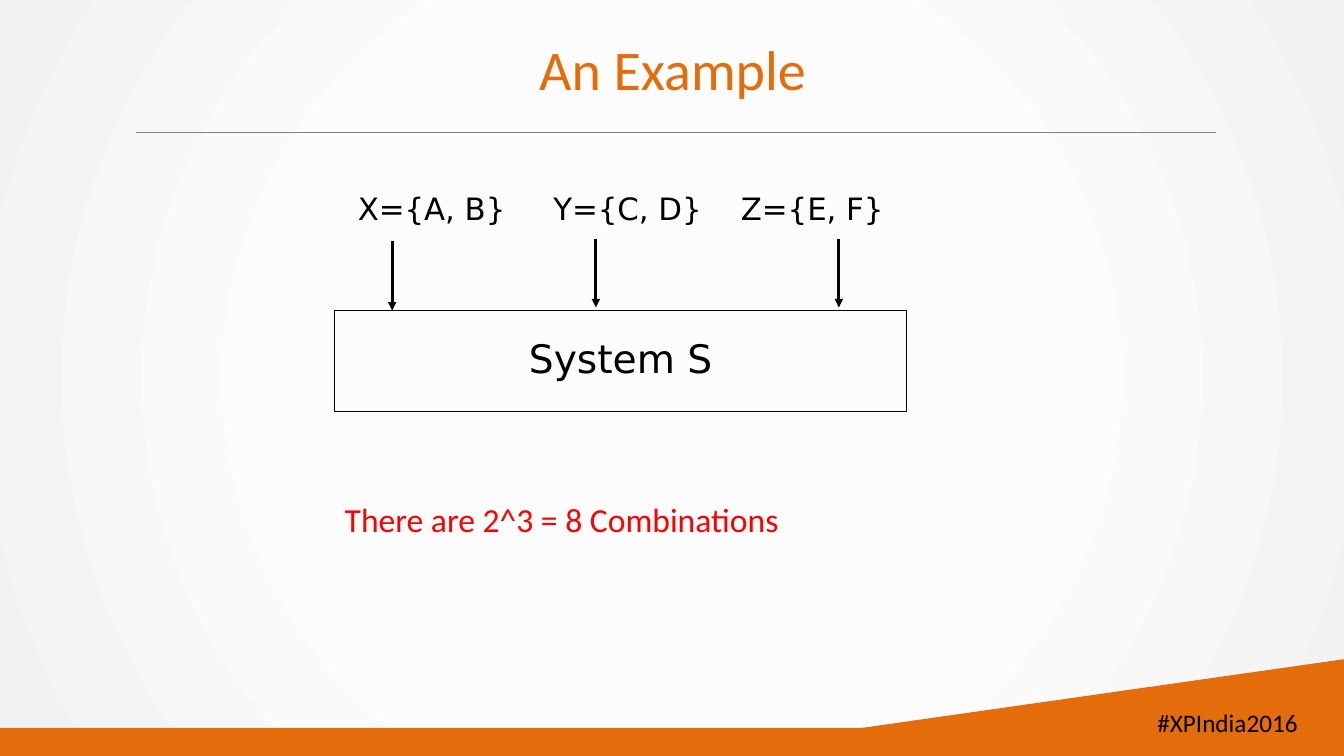
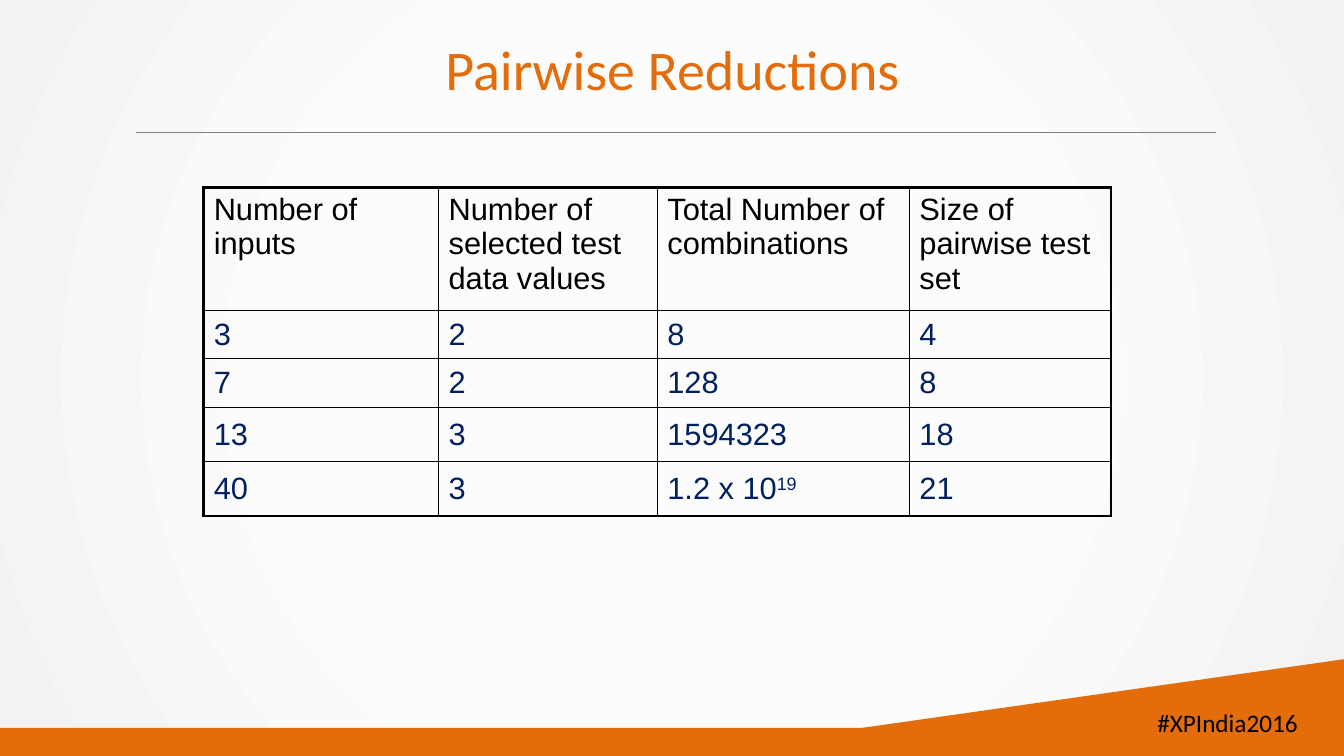
"""Build two slides on pairwise testing: an example system and the reductions table."""
from dataclasses import dataclass

from lxml.etree import SubElement
from pptx import Presentation
from pptx.dml.color import RGBColor
from pptx.enum.shapes import MSO_CONNECTOR as Connector, MSO_SHAPE as Shape
from pptx.enum.text import MSO_ANCHOR as Anchor, PP_ALIGN as Align
from pptx.oxml import parse_xml
from pptx.oxml.ns import nsdecls, qn
from pptx.presentation import Presentation as Deck
from pptx.slide import Slide
from pptx.table import _Cell as Cell
from pptx.text.text import TextFrame
from pptx.util import Inches, Pt

ORANGE = RGBColor(0xE4, 0x6C, 0x0A)
GREY = RGBColor(0x80, 0x80, 0x80)
BLACK = RGBColor(0x00, 0x00, 0x00)
RED = RGBColor(0xFF, 0x00, 0x00)
NAVY = RGBColor(0x00, 0x20, 0x60)
BACKGROUND_STOPS = ((0, "FFFFFF"), (48, "FCFCFC"), (100, "F2F2F2"))

WIDTH, HEIGHT = 13.33, 7.5
THIN, THICK = 1, 2.25


@dataclass(frozen=True)
class Style:
    """Font, size, colour and alignment of a paragraph."""
    font: str
    size: float
    color: RGBColor
    align: Align = Align.LEFT


@dataclass(frozen=True)
class Input:
    """An input of the system, with its label and arrow."""
    label: str
    label_offset: float
    arrow_x: float
    arrow_top: float
    arrow_bottom: float


TITLE = Style("Calibri", 40, ORANGE, Align.CENTER)
HASHTAG = Style("Calibri", 18, BLACK, Align.RIGHT)
INPUT = Style("DejaVu Sans", 22, BLACK)
SYSTEM = Style("DejaVu Sans", 28, BLACK, Align.CENTER)
RESULT = Style("Calibri", 24, RED)
HEADER = Style("Arial", 22, BLACK)
BODY = Style("Arial", 22, NAVY)

INPUTS = (
    Input("X={A, B}", 0, 3.89, 2.39, 3.08),
    Input("Y={C, D}", 1.94, 5.91, 2.37, 3.05),
    Input("Z={E, F}", 3.8, 8.32, 2.37, 3.05),
)

COLUMN_WIDTHS = (2.33, 2.17, 2.5, 2)
ROW_HEIGHTS = (1.22, 0.48, 0.48, 0.54, 0.54)
REDUCTIONS = (
    ("Number of inputs", "Number of selected test data values",
     "Total Number of combinations", "Size of pairwise test set"),
    ("3", "2", "8", "4"),
    ("7", "2", "128", "8"),
    ("13", "3", "1594323", "18"),
    ("40", "3", "1.2 x 10^19", "21"),
)


def write(frame: TextFrame, text: str, style: Style, tabs: tuple[float, ...] = ()) -> None:
    """Write one paragraph, raising whatever follows a caret in table text."""
    para = frame.paragraphs[0]
    para.alignment = style.align
    if tabs:
        tab_list = SubElement(para._p.get_or_add_pPr(), qn("a:tabLst"))
        for offset in tabs:
            SubElement(tab_list, qn("a:tab"), pos=str(Inches(offset)), algn="l")
    para.add_run().text = text
    para.font.name = style.font
    para.font.size = Pt(style.size)
    para.font.color.rgb = style.color


def add_text(page: Slide, left: float, top: float, width: float, height: float, text: str,
             style: Style, tabs: tuple[float, ...] = (), wrap: bool = True,
             anchor: Anchor = Anchor.TOP) -> None:
    """Add a text box."""
    box = page.shapes.add_textbox(Inches(left), Inches(top), Inches(width), Inches(height))
    box.text_frame.word_wrap = wrap
    box.text_frame.vertical_anchor = anchor
    write(box.text_frame, text, style, tabs)


def add_line(page: Slide, start: tuple[float, float], end: tuple[float, float],
             color: RGBColor, width: float, arrow: bool = False) -> None:
    """Add a straight line, with an arrowhead at its end if asked."""
    ends = (Inches(length) for length in (*start, *end))
    line = page.shapes.add_connector(Connector.STRAIGHT, *ends)
    line.line.color.rgb = color
    line.line.width = Pt(width)
    if arrow:
        SubElement(line.line._get_or_add_ln(), qn("a:tailEnd"), type="triangle")
    SubElement(line._element.spPr, qn("a:effectLst"))


def set_background(deck: Deck) -> None:
    """Give the slide master its radial gradient."""
    master = deck.slide_master
    master.background.fill.gradient()
    plain = master.element.find(f".//{qn('a:gradFill')}")
    stops = "".join(f'<a:gs pos="{place * 1000}"><a:srgbClr val="{color}"/></a:gs>'
                    for place, color in BACKGROUND_STOPS)
    radial = parse_xml(
        f'<a:gradFill {nsdecls("a")} rotWithShape="1"><a:gsLst>{stops}</a:gsLst>'
        '<a:path path="circle"><a:fillToRect l="50000" t="50000" r="50000" b="50000"/>'
        '</a:path></a:gradFill>')
    plain.getparent().replace(plain, radial)


def add_page(deck: Deck, title: str) -> Slide:
    """Add a blank slide with the shared band, hashtag, rule and title."""
    page = deck.slides.add_slide(deck.slide_layouts[6])
    band = page.shapes.add_shape(Shape.RECTANGLE, 0, Inches(7.22), Inches(WIDTH), Inches(0.28))
    outline = page.shapes.build_freeform(Inches(8.14), Inches(7.28))
    corners = ((WIDTH, 6.54), (WIDTH, 7.44), (8.16, 7.44))
    outline.add_line_segments([(Inches(x), Inches(y)) for x, y in corners])
    wedge = outline.convert_to_shape()
    for shape in (band, wedge):
        shape.shadow.inherit = False
        shape.fill.solid()
        shape.fill.fore_color.rgb = ORANGE
        shape.line.fill.background()
    add_text(page, 11.36, 6.97, 1.61, 0.4, "#XPIndia2016", HASHTAG, wrap=False)
    add_line(page, (1.35, 1.31), (12.06, 1.31), GREY, 0.75)
    add_text(page, 0.67, 0.05, 12, 1.25, title, TITLE, anchor=Anchor.MIDDLE)
    return page


def add_example(deck: Deck) -> None:
    """Draw the system with its three inputs."""
    page = add_page(deck, "An Example")
    labels = "\t".join(item.label for item in INPUTS)
    tabs = tuple(item.label_offset for item in INPUTS[1:])
    add_text(page, 3.45, 1.83, 5.82, 0.47, labels, INPUT, tabs)
    system = page.shapes.add_shape(
        Shape.RECTANGLE, Inches(3.32), Inches(3.08), Inches(5.67), Inches(1))
    system.shadow.inherit = False
    system.fill.background()
    system.line.color.rgb = BLACK
    system.line.width = Pt(0.75)
    system.text_frame.margin_bottom = Inches(0.1)
    system.text_frame.vertical_anchor = Anchor.MIDDLE
    write(system.text_frame, "System S", SYSTEM)
    for item in INPUTS:
        add_line(page, (item.arrow_x, item.arrow_top), (item.arrow_x, item.arrow_bottom),
                 BLACK, 2, arrow=True)
    add_text(page, 3.32, 4.9, 5.37, 0.5, "There are 2^3 = 8 Combinations", RESULT)


def set_borders(cell: Cell, outer: dict[str, bool]) -> None:
    """Border a cell, thick on the outer sides of the table."""
    properties = cell._tc.get_or_add_tcPr()
    for side, is_outer in outer.items():
        width = Pt(THICK if is_outer else THIN)
        border = SubElement(properties, qn(f"a:ln{side}"), w=str(width))
        SubElement(SubElement(border, qn("a:solidFill")), qn("a:srgbClr"), val=str(BLACK))


def add_reductions(deck: Deck) -> None:
    """Draw the table of pairwise reductions."""
    page = add_page(deck, "Pairwise Reductions")
    last_row, last_column = len(ROW_HEIGHTS) - 1, len(COLUMN_WIDTHS) - 1
    table = page.shapes.add_table(
        len(ROW_HEIGHTS), len(COLUMN_WIDTHS), Inches(2.02), Inches(1.86),
        Inches(sum(COLUMN_WIDTHS)), Inches(sum(ROW_HEIGHTS))).table
    table.first_row = table.horz_banding = False
    for column, width in zip(table.columns, COLUMN_WIDTHS):
        column.width = Inches(width)
    for row, height in zip(table.rows, ROW_HEIGHTS):
        row.height = Inches(height)
    for row, texts in enumerate(REDUCTIONS):
        for column, text in enumerate(texts):
            cell = table.cell(row, column)
            set_borders(cell, {"L": column == 0, "R": column == last_column,
                               "T": row == 0, "B": row == last_row})
            cell.fill.background()
            cell.vertical_anchor = Anchor.MIDDLE if row else Anchor.TOP
            base, _, exponent = text.partition("^")
            write(cell.text_frame, base, BODY if row else HEADER)
            if exponent:
                span = cell.text_frame.paragraphs[0].add_run()
                span.text = exponent
                span.font._element.set("baseline", "30000")


def main() -> None:
    """Build and save the deck."""
    deck = Presentation()
    deck.slide_width, deck.slide_height = Inches(WIDTH), Inches(HEIGHT)
    set_background(deck)
    add_example(deck)
    add_reductions(deck)
    deck.save("out.pptx")


if __name__ == "__main__":
    main()
